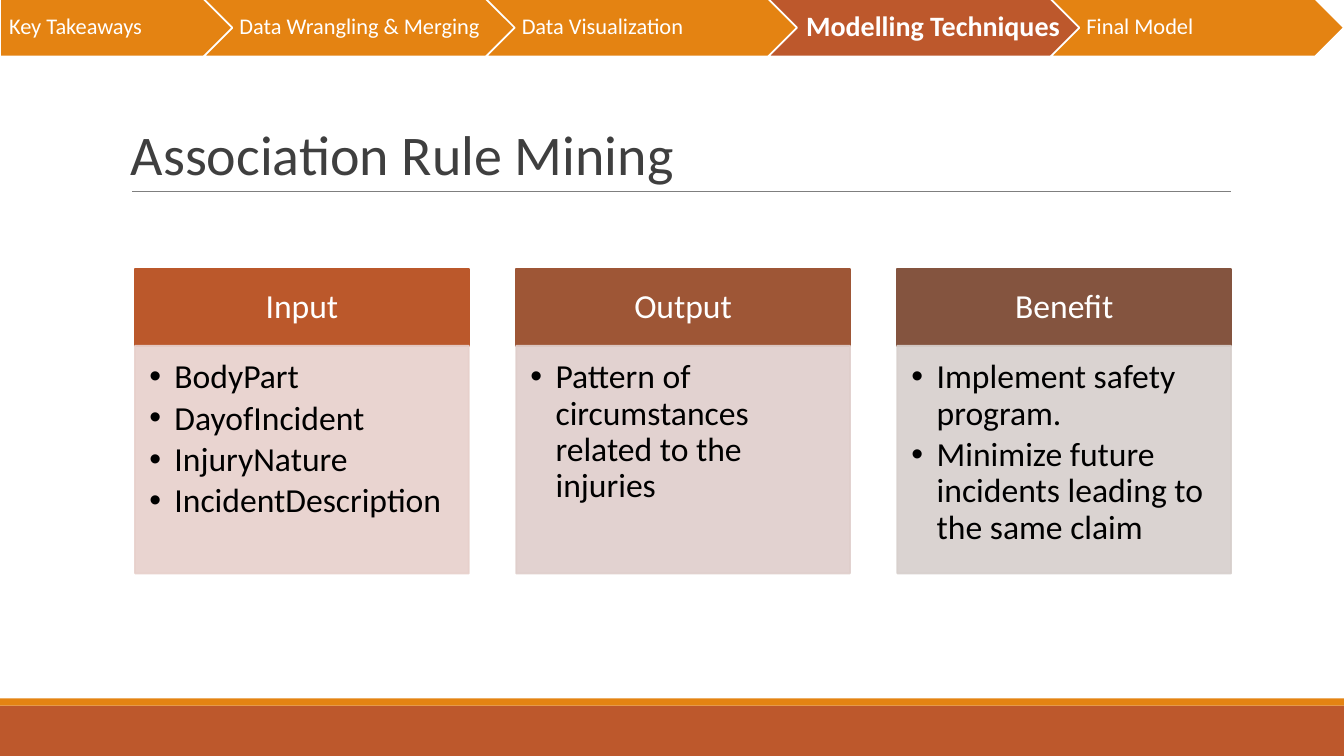
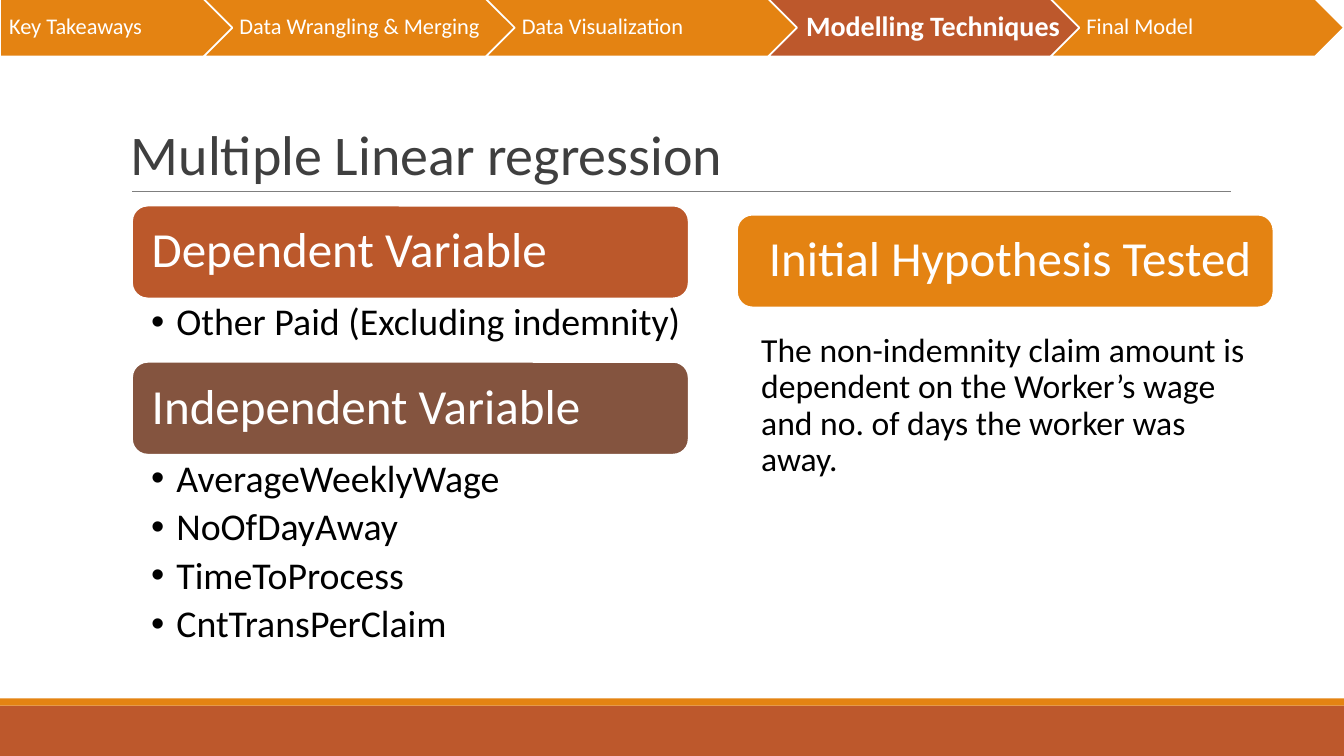
from dataclasses import dataclass

from lxml.etree import SubElement
from pptx import Presentation
from pptx.dml.color import RGBColor
from pptx.enum.shapes import MSO_CONNECTOR, MSO_SHAPE
from pptx.enum.text import MSO_ANCHOR, PP_ALIGN
from pptx.oxml.ns import qn
from pptx.util import Pt

PX = 9144  # EMU; 100 px to the inch
PAGE_WIDTH, PAGE_HEIGHT = 1333, 750


@dataclass(frozen=True)
class Theme:
    font: str = "Calibri"
    orange: str = "E48312"
    rust: str = "BD582C"
    brick: str = "BB582B"
    sienna: str = "9E5636"
    umber: str = "84543F"
    brick_tint: str = "E7D0CB"
    sienna_tint: str = "DFCECB"
    umber_tint: str = "D7CFCC"
    title: str = "3F3F3F"
    rule: str = "7F7F7F"
    white: str = "FFFFFF"
    black: str = "000000"
    title_size: int = 40
    heading_size: int = 35
    list_size: int = 27
    body_size: int = 24
    active_size: int = 20
    step_size: int = 16
    outline: float = 1.25
    hairline: float = 0.75


THEME = Theme()
STEPS = [
    ("Key Takeaways", 272),
    ("Data Wrangling & Merging", 350),
    ("Data Visualization", 350),
    ("Modelling Techniques", 350),
    ("Final Model", 291),
]
STEP_OVERLAP = 70
ACTIVE_STEP = "Modelling Techniques"


def px(*lengths):
    return [length * PX for length in lengths]


def rgb(color):
    return RGBColor.from_string(color)


def set_values(target, values):
    for name, value in values.items():
        setattr(target, name, value)


def set_bullet(para):
    """Give a paragraph a hanging round bullet."""
    properties = para._p.get_or_add_pPr()
    properties.set("marL", str(25 * PX))
    properties.set("indent", str(-25 * PX))
    color = SubElement(properties, qn("a:buClr"))
    SubElement(color, qn("a:srgbClr"), val=THEME.black)
    SubElement(properties, qn("a:buFont"), typeface="Arial")
    SubElement(properties, qn("a:buChar"), char="•")


def write(box, lines, size, color, insets, anchor=MSO_ANCHOR.MIDDLE,
          align=PP_ALIGN.LEFT, bold=False, bullets=False, spacing=0.9, gap=0):
    """Fill a box with one paragraph per line; gap is the space between them."""
    frame = box.text_frame
    left, top, right, bottom = px(*insets)
    set_values(frame, {
        "word_wrap": True, "vertical_anchor": anchor,
        "margin_left": left, "margin_top": top,
        "margin_right": right, "margin_bottom": bottom,
    })
    for index, line in enumerate(lines):
        para = frame.paragraphs[0] if index == 0 else frame.add_paragraph()
        set_values(para, {
            "alignment": align, "line_spacing": spacing,
            "space_before": Pt(gap if index else 0),
        })
        if bullets:
            set_bullet(para)
        span = para.add_run()
        span.text = line
        set_values(span.font, {"name": THEME.font, "size": Pt(size), "bold": bold})
        span.font.color.rgb = rgb(color)


def add_box(page, kind, area, fill, line=None, opacity=100):
    box = page.shapes.add_shape(kind, *px(*area))
    box.shadow.inherit = False
    box.fill.solid()
    box.fill.fore_color.rgb = rgb(fill)
    if line:
        box.line.color.rgb = rgb(line)
        box.line.width = Pt(THEME.outline)
    else:
        box.line.fill.background()
    if opacity < 100:
        for color in list(box.element.spPr.iter(qn("a:srgbClr"))):
            SubElement(color, qn("a:alpha"), val=str(opacity * 1000))
    return box


def add_text(page, area, lines, size, color, insets, **style):
    write(page.shapes.add_textbox(*px(*area)), lines, size, color, insets, **style)


def add_rule(page, left, right, top):
    rule = page.shapes.add_connector(MSO_CONNECTOR.STRAIGHT, *px(left, top, right, top))
    rule.line.color.rgb = rgb(THEME.rule)
    rule.line.width = Pt(THEME.hairline)
    SubElement(rule.element.spPr, qn("a:effectLst"))


def add_progress(page):
    """Draw the row of step arrows with the active one picked out."""
    left = 0
    for index, (label, width) in enumerate(STEPS):
        active = label == ACTIVE_STEP
        kind = MSO_SHAPE.CHEVRON if index else MSO_SHAPE.PENTAGON
        fill = THEME.rust if active else THEME.orange
        size = THEME.active_size if active else THEME.step_size
        step = add_box(page, kind, (left, -1, width, 57), fill, THEME.white)
        inset = 9 if active or index == 0 else 7
        write(step, [label], size, THEME.white, (inset, 5, 2, 5), bold=active)
        left += width - STEP_OVERLAP


def add_page(deck, title):
    """Add a page with the shared bands, title, rule and progress row."""
    page = deck.slides.add_slide(deck.slide_layouts[6])
    add_box(page, MSO_SHAPE.RECTANGLE, (0, 700, PAGE_WIDTH, 50), THEME.rust)
    add_box(page, MSO_SHAPE.RECTANGLE, (0, 693, PAGE_WIDTH, 7), THEME.orange)
    add_rule(page, 131, 1221, 190)
    add_text(page, (120, 31, 1100, 159), [title], THEME.title_size, THEME.title,
             (10, 5, 10, 5), anchor=MSO_ANCHOR.BOTTOM, spacing=0.85)
    add_progress(page)
    return page


def add_card(page, left, heading, items, fill, tint):
    """Draw a heading bar over a tinted panel of bullets."""
    top, width, bar_height = 267, 331, 76
    bar = add_box(page, MSO_SHAPE.RECTANGLE, (left, top, width, bar_height), fill, fill)
    write(bar, [heading], THEME.body_size, THEME.white, (19, 11, 19, 11),
          align=PP_ALIGN.CENTER)
    panel = add_box(page, MSO_SHAPE.RECTANGLE, (left, top + bar_height, width, 226),
                    tint, tint, opacity=90)
    write(panel, items, THEME.body_size, THEME.black, (14, 14, 19, 21),
          anchor=MSO_ANCHOR.TOP, bullets=True, gap=3.6)


def add_heading(page, area, label, fill, insets=(15, 15, 15, 15)):
    box = add_box(page, MSO_SHAPE.ROUNDED_RECTANGLE, area, fill, THEME.white)
    write(box, [label], THEME.heading_size, THEME.white, insets)


def build_association_page(deck):
    page = add_page(deck, "Association Rule Mining")
    cards = [
        ("Input", ["BodyPart", "DayofIncident", "InjuryNature", "IncidentDescription"],
         THEME.brick, THEME.brick_tint),
        ("Output", ["Pattern of circumstances related to the injuries"],
         THEME.sienna, THEME.sienna_tint),
        ("Benefit", ["Implement safety program.",
                     "Minimize future incidents leading to the same claim"],
         THEME.umber, THEME.umber_tint),
    ]
    for column, card in enumerate(cards):
        add_card(page, 134 + column * 378, *card)


def build_regression_page(deck):
    page = add_page(deck, "Multiple Linear regression")
    left, top, heading_height = 131, 204, 92
    groups = [
        ("Dependent Variable", ["Other Paid (Excluding indemnity)"], THEME.brick, 63),
        ("Independent Variable",
         ["AverageWeeklyWage", "NoOfDayAway", "TimeToProcess", "CntTransPerClaim"],
         THEME.umber, 202),
    ]
    for label, items, fill, list_height in groups:
        add_heading(page, (left, top, 552, heading_height), label, fill)
        top += heading_height
        add_text(page, (left, top, 593, list_height), items, THEME.list_size, THEME.black,
                 (19, 5, 27, 5), anchor=MSO_ANCHOR.TOP, bullets=True, gap=5.4)
        top += list_height
    add_heading(page, (731, 213, 532, heading_height), "Initial Hypothesis Tested",
                THEME.orange, (27, 15, 5, 15))
    add_text(page, (747, 311, 516, 184),
             ["The non-indemnity claim amount is dependent on the Worker’s wage "
              "and no. of days the worker was away."],
             THEME.body_size, THEME.black, (8, 4, 8, 4))


def main():
    deck = Presentation()
    deck.slide_width, deck.slide_height = px(PAGE_WIDTH, PAGE_HEIGHT)
    build_association_page(deck)
    build_regression_page(deck)
    deck.save("out.pptx")


if __name__ == "__main__":
    main()
